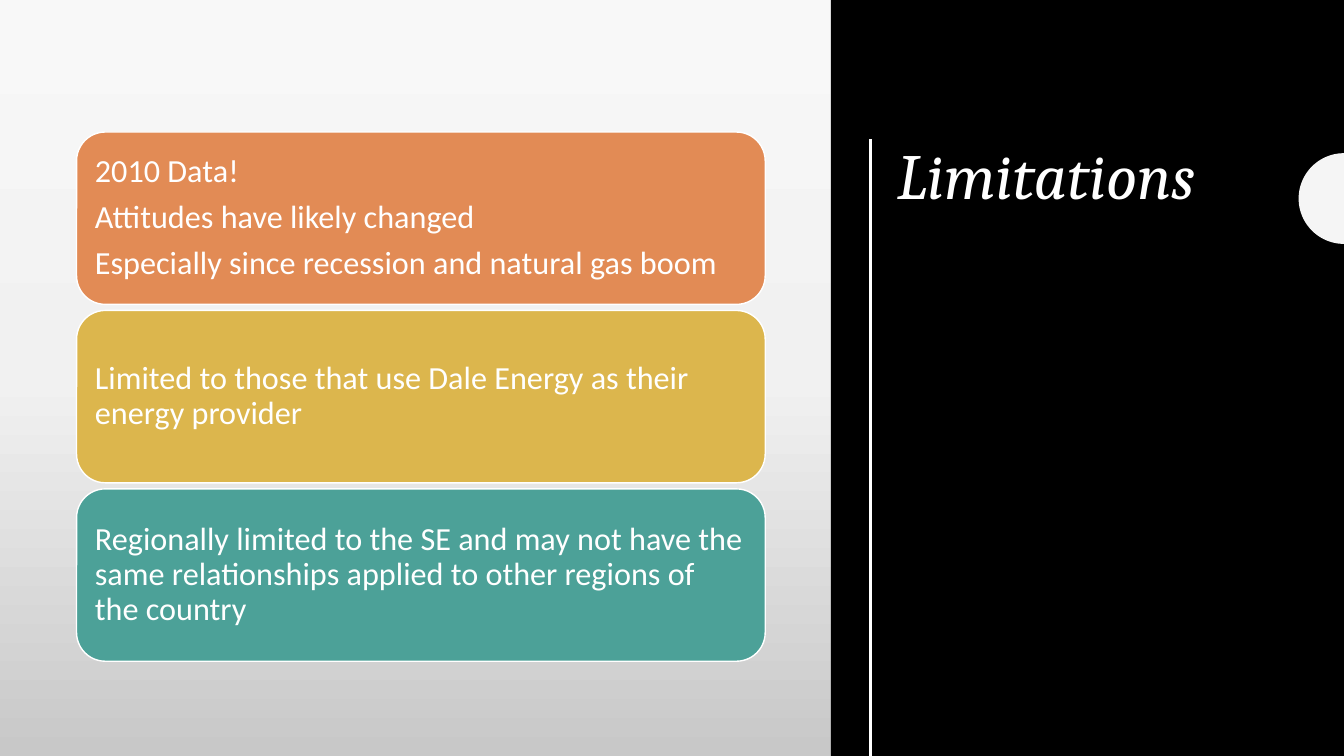
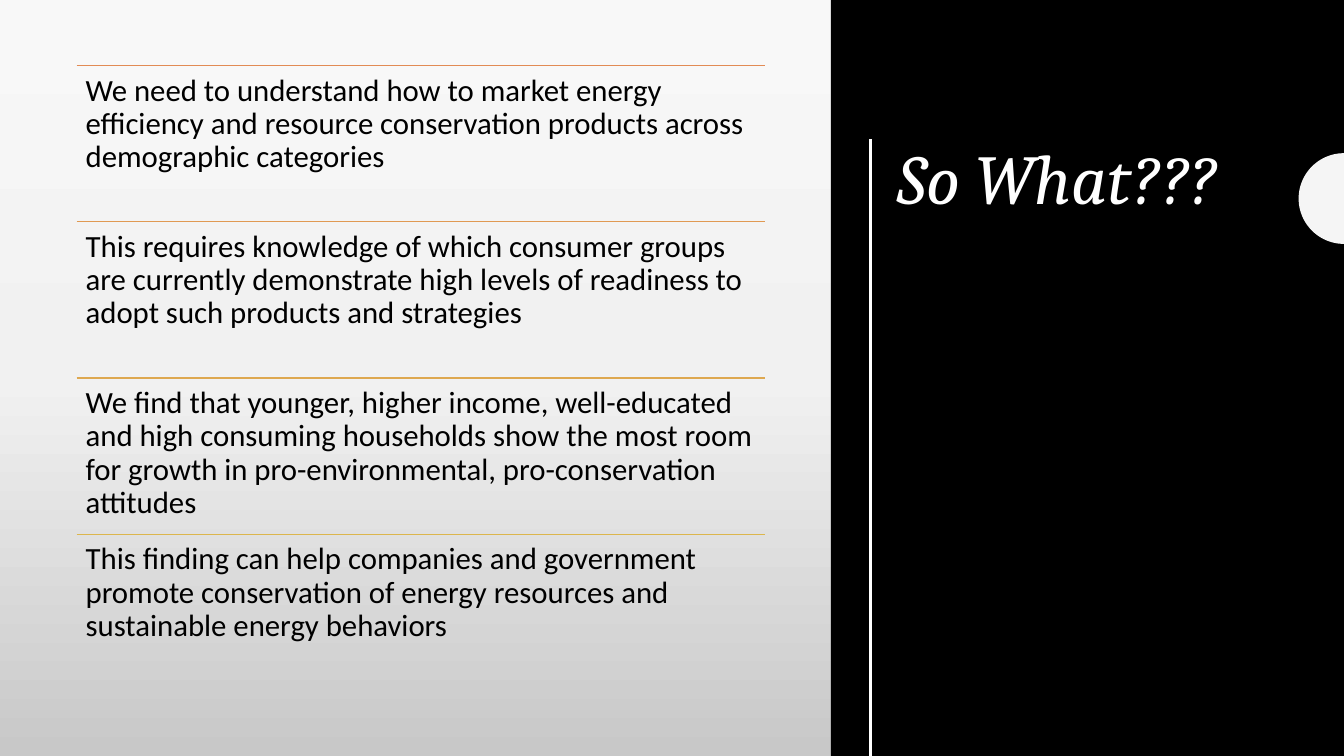
from copy import deepcopy
from math import cos, pi, sin

from pptx import Presentation
from pptx.dml.color import RGBColor
from pptx.enum.shapes import MSO_CONNECTOR, MSO_SHAPE
from pptx.enum.text import MSO_ANCHOR, PP_ALIGN
from pptx.oxml.ns import qn
from pptx.util import Inches, Pt

RECT = MSO_SHAPE.RECTANGLE
ROUNDED = MSO_SHAPE.ROUNDED_RECTANGLE
STRAIGHT = MSO_CONNECTOR.STRAIGHT
LEFT = PP_ALIGN.LEFT
TOP, MIDDLE = MSO_ANCHOR.TOP, MSO_ANCHOR.MIDDLE

# Shared look
PAGE_W, PAGE_H = 13.33, 7.5
WHITE, BLACK, PALE = "FFFFFF", "000000", "F5F5F5"
BACKDROP = [(0, "F8F8F8"), (0.5, "F1F1F1"), (1, "C8C8C8")]
PANEL_X = 8.24
RULE_X, RULE_Y = 8.63, 1.38
NOTCH_Y, NOTCH_R = 1.97, 0.45
BODY_X, BODY_W = 0.76, 6.83
TITLE_FONT = {"name": "Cambria", "italic": True}
BODY_FONT = {"name": "Calibri"}

# Slide content
CARD_Y, CARD_H, CARD_STEP = 1.31, 1.71, 1.77
CARDS = [
    ("E28B55", ["2010 Data! ", "Attitudes have likely changed",
                "Especially since recession and natural gas boom"]),
    ("DCB64D", ["Limited to those that use Dale Energy as their energy provider"]),
    ("4CA198", ["Regionally limited to the SE and may not have the same "
                "relationships applied to other regions of the country"]),
]
POINT_Y, POINT_STEP = 0.65, 1.55
POINTS = [
    ("E28B55", "We need to understand how to market energy efficiency and "
               "resource conservation products across demographic categories"),
    ("E09952", "This requires knowledge of which consumer groups are currently "
               "demonstrate high levels of readiness to adopt such products and "
               "strategies "),
    ("DEA850", "We find that younger, higher income, well-educated and high "
               "consuming households show the most room for growth in "
               "pro-environmental, pro-conservation attitudes"),
    ("DCB64D", "This finding can help companies and government promote "
               "conservation of energy resources and sustainable energy behaviors"),
]


def color(value):
    return RGBColor.from_string(value)


def set_all(target, values):
    for name, value in values.items():
        setattr(target, name, value)


def write(frame, lines, font, size, ink, inset=(0.1, 0.1), anchor=TOP, after=0):
    side, top = (Inches(length) for length in inset)
    set_all(frame, {"word_wrap": True, "vertical_anchor": anchor,
                    "margin_left": side, "margin_right": side,
                    "margin_top": top, "margin_bottom": top})
    for number, line in enumerate(lines):
        para = frame.add_paragraph() if number else frame.paragraphs[0]
        set_all(para, {"alignment": LEFT, "line_spacing": 0.9,
                       "space_after": Pt(after)})
        span = para.add_run()
        span.text = line
        set_all(span.font, {**font, "size": Pt(size)})
        span.font.color.rgb = color(ink)


def paint(shape, fill, line=None):
    shape.shadow.inherit = False
    shape.fill.solid()
    shape.fill.fore_color.rgb = color(fill)
    if line:
        shape.line.color.rgb = color(line)
        shape.line.width = Pt(1)
    else:
        shape.line.fill.background()


def add_block(page, kind, x, y, w, h, fill, line=None):
    block = page.shapes.add_shape(kind, Inches(x), Inches(y), Inches(w), Inches(h))
    paint(block, fill, line)
    return block


def add_text(page, x, y, w, h, lines, *style, **layout):
    box = page.shapes.add_textbox(Inches(x), Inches(y), Inches(w), Inches(h))
    write(box.text_frame, lines, *style, **layout)


def add_rule(page, x1, y1, x2, y2, ink, width):
    rule = page.shapes.add_connector(
        STRAIGHT, Inches(x1), Inches(y1), Inches(x2), Inches(y2))
    rule.line.color.rgb = color(ink)
    rule.line.width = Pt(width)
    properties = rule._element.spPr
    properties.append(properties.makeelement(qn("a:effectLst"), {}))


def add_backdrop(page):
    backdrop = add_block(page, RECT, 0, 0, PAGE_W, PAGE_H, PALE)
    backdrop.fill.gradient()
    backdrop.fill.gradient_angle = 270
    # The default gradient has two stops; add the middle one
    stops = backdrop._element.spPr.find(".//" + qn("a:gsLst"))
    stops.append(deepcopy(stops[0]))
    for stop, (position, ink) in zip(backdrop.fill.gradient_stops, BACKDROP):
        stop.position = position
        stop.color.rgb = color(ink)


def add_notch(page):
    """Half circle cut into the right edge of the panel."""
    steps = 48
    points = [(Inches(PAGE_W - NOTCH_R * sin(pi * i / steps)),
               Inches(NOTCH_Y - NOTCH_R * cos(pi * i / steps)))
              for i in range(steps + 1)]
    outline = page.shapes.build_freeform(*points[0])
    outline.add_line_segments(points[1:], close=True)
    paint(outline.convert_to_shape(), PALE)


def add_page(deck, title, size):
    page = deck.slides.add_slide(deck.slide_layouts[6])
    add_backdrop(page)
    add_block(page, RECT, PANEL_X, 0, PAGE_W - PANEL_X, PAGE_H, BLACK)
    add_text(page, 8.8, RULE_Y, 3.83, 4.65, [title], TITLE_FONT, size, WHITE,
             inset=(0.1, 0.05))
    add_rule(page, RULE_X, RULE_Y, RULE_X, PAGE_H, WHITE, 2)
    add_notch(page)
    return page


def add_cards(page):
    for row, (fill, lines) in enumerate(CARDS):
        card = add_block(page, ROUNDED, BODY_X, CARD_Y + row * CARD_STEP,
                         BODY_W, CARD_H, fill, WHITE)
        write(card.text_frame, lines, BODY_FONT, 23, WHITE,
              anchor=MIDDLE, after=8)


def add_points(page):
    for row, (ink, line) in enumerate(POINTS):
        y = POINT_Y + row * POINT_STEP
        add_rule(page, BODY_X, y, BODY_X + BODY_W, y, ink, 1)
        add_text(page, BODY_X, y, BODY_W, POINT_STEP, [line], BODY_FONT, 22,
                 BLACK, inset=(0.09, 0.09), after=8)


def main():
    deck = Presentation()
    deck.slide_width, deck.slide_height = Inches(PAGE_W), Inches(PAGE_H)
    add_cards(add_page(deck, "Limitations", 46))
    add_points(add_page(deck, "So What???", 50))
    deck.save("out.pptx")


main()
